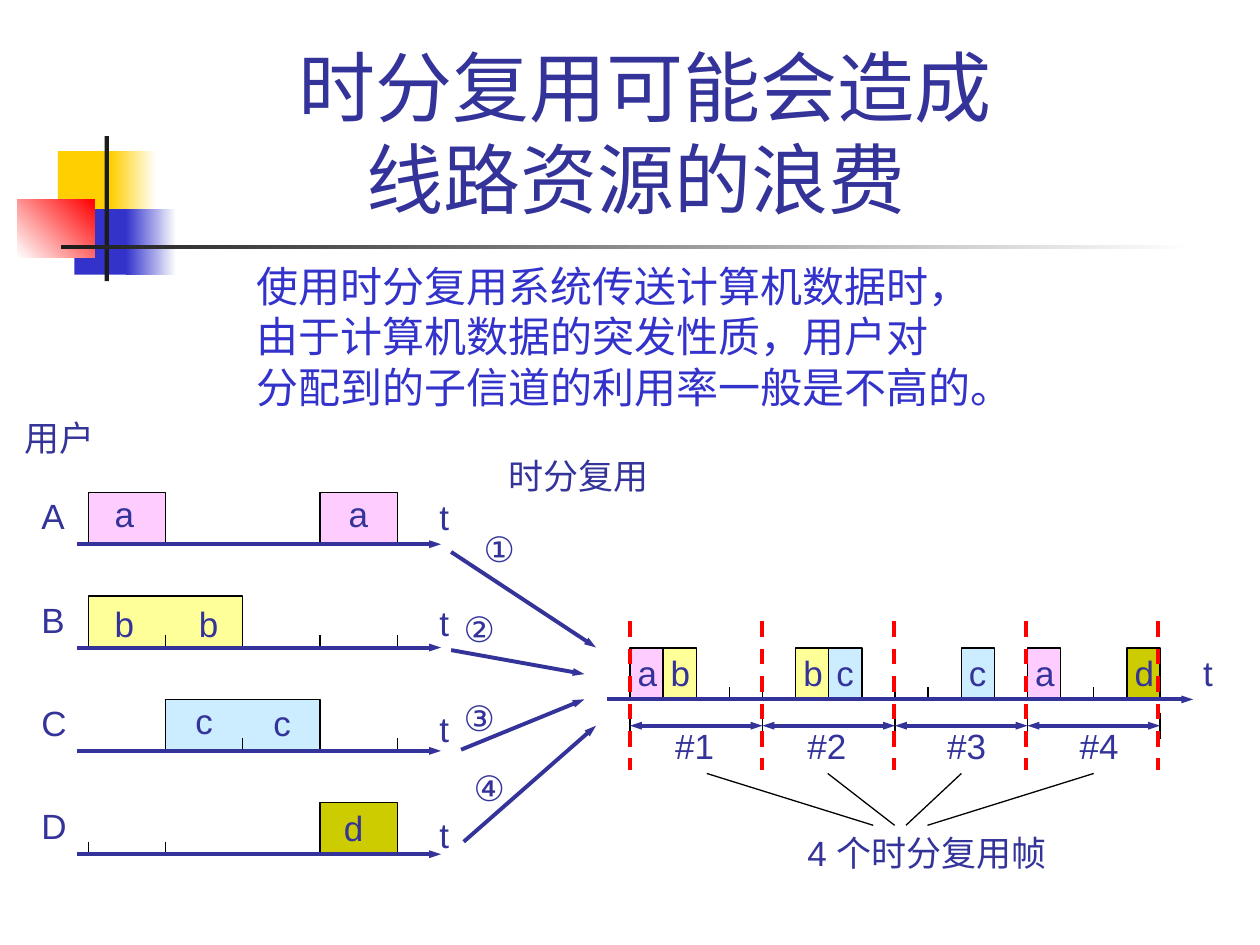
from dataclasses import dataclass
from pptx import Presentation
from pptx.dml.color import RGBColor
from pptx.enum.dml import MSO_LINE
from pptx.enum.shapes import MSO_CONNECTOR, MSO_SHAPE
from pptx.enum.text import MSO_ANCHOR, MSO_AUTO_SIZE, PP_ALIGN
from pptx.oxml.ns import qn
from pptx.util import Pt
from lxml.etree import SubElement


@dataclass(frozen=True)
class Theme:
    ink: str = "333399"
    blue: str = "3333CC"
    black: str = "000000"
    red: str = "FF0000"
    gold: str = "FFCF01"
    dark: str = "1C1C1C"
    white: str = "FFFFFF"
    font: str = "Arial"
    body_font: str = "Noto Sans CJK SC"
    title_size: int = 44
    body_size: int = 24
    label_size: int = 20
    thin: float = 0.75
    thick: float = 2.25


THEME = Theme()

# Content
TITLE = "时分复用可能会造成\v线路资源的浪费 "
BODY = ["使用时分复用系统传送计算机数据时，",
        "由于计算机数据的突发性质，用户对",
        "分配到的子信道的利用率一般是不高的。"]
SIGNAL_COLORS = {"a": "FFCCFF", "b": "FFFF99", "c": "CCECFF", "d": "CCCC00"}
# User, blocks (first slot, end slot), letters (slot, dx, dy), signal, ticks
USERS = [
    ("A", "a", [(0, 1), (3, 4)], [(0, 8, -3.5), (3, 9.3, -3.5)], []),
    ("B", "b", [(0, 2)], [(0, 8, 0), (1, 12, 0)], [1, 3, 4]),
    ("C", "c", [(1, 3)], [(1, 10, -3.5), (2, 10.5, -2)], [2, 4]),
    ("D", "d", [(3, 4)], [(3, 6.5, -1.5)], [0, 1, 3]),
]
MUX_SLOTS = {0: "a", 1: "b", 5: "b", 6: "c", 10: "c", 12: "a", 15: "d"}
MUX_TICKS = [2, 3, 4, 8, 9, 14]
FRAMES = [("#1", 378.7), ("#2", 454.3), ("#3", 534.2), ("#4", 609.8)]
# Number, its left and top, then the arrow's start and end
INPUTS = [
    ("①", 269.3, 298, (257.8, 315.4), (340.6, 370)),
    ("②", 257.8, 343.4, (257.8, 371.5), (334, 385.2)),
    ("③", 257.8, 394.5, (263.5, 428.4), (334, 399.6)),
    ("④", 263.5, 434.2, (265, 481), (340.6, 414.7)),
]
FRAME_LEADERS = [((403.9, 442), (499, 471.6)), ((473, 442), (511.2, 471.6)),
                 ((549.4, 442), (517.7, 471.6)), ((530, 471.6), (625, 442))]
# Left, top, width, height, colours, angle
DECORATION = [
    (33.1, 86.4, 34.6, 37.4, [THEME.gold], 0),
    (63.4, 86.4, 25.9, 37.4, [THEME.gold, THEME.white], 0),
    (42.5, 119.5, 33.1, 37.4, [THEME.blue], 0),
    (72, 119.5, 28.8, 37.4, [THEME.blue, THEME.white], 0),
    (10, 113.8, 44, 33.1, [THEME.white, THEME.red], 45),
    (59.8, 77.8, 2.5, 82.8, [THEME.dark], 0),
    (34.6, 140.1, 648, 2.5, [THEME.dark, THEME.white], 0),
]

# Geometry
USER_LEFT, USER_SLOT, USER_AXIS, USER_STEP = 50.4, 44.15, 311, 59.05
MUX_LEFT, MUX_SLOT, MUX_AXIS = 360, 18.93, 399.7
FRAME_WIDTH = 4 * MUX_SLOT
SPAN_Y = 414.7
DASH_STEP = 75.4
BLOCK_HEIGHT, TICK_HEIGHT, LABEL_HEIGHT = 29.5, 7.2, 31

presentation = Presentation()
presentation.slide_width, presentation.slide_height = Pt(720), Pt(540)
slide = presentation.slides.add_slide(presentation.slide_layouts[5])


def write(frame, text, size=THEME.label_size, color=THEME.ink,
          font=THEME.font, align=PP_ALIGN.LEFT, wrap=False):
    frame.word_wrap = wrap
    frame.text = text
    for paragraph in frame.paragraphs:
        paragraph.alignment = align
        paragraph.font.size = Pt(size)
        paragraph.font.name = font
        paragraph.font.color.rgb = RGBColor.from_string(color)


def add_label(text, left, top, width, height=LABEL_HEIGHT, **style):
    box = slide.shapes.add_textbox(Pt(left), Pt(top), Pt(width), Pt(height))
    write(box.text_frame, text, **style)
    box.text_frame.auto_size = MSO_AUTO_SIZE.SHAPE_TO_FIT_TEXT


def add_line(start, end, color=THEME.black, width=THEME.thin, arrows=(),
             dash=None, shapes=slide.shapes):
    line = shapes.add_connector(MSO_CONNECTOR.STRAIGHT, *map(Pt, start + end))
    line.line.color.rgb = RGBColor.from_string(color)
    line.line.width = Pt(width)
    if dash:
        line.line.dash_style = dash
    properties = line._element.spPr
    for arrow in arrows:
        SubElement(properties.find(qn("a:ln")), qn(f"a:{arrow}"),
                   type="triangle", w="sm", len="med")
    SubElement(properties, qn("a:effectLst"))


def add_arrow(start, end, arrows=("tailEnd",)):
    add_line(start, end, THEME.ink, THEME.thick, arrows)


def add_tick(x, axis):
    add_line((x, axis - TICK_HEIGHT), (x, axis))


def add_block(left, right, axis, color):
    top = axis - BLOCK_HEIGHT
    outline = slide.shapes.build_freeform(Pt(left), Pt(axis))
    corners = [(left, top), (right, top), (right, axis)]
    outline.add_line_segments([(Pt(x), Pt(y)) for x, y in corners], close=False)
    block = outline.convert_to_shape()
    block.shadow.inherit = False
    block.fill.solid()
    block.fill.fore_color.rgb = RGBColor.from_string(color)
    block.line.color.rgb = RGBColor.from_string(THEME.black)
    block.line.width = Pt(THEME.thin)


# Decoration
for left, top, width, height, colors, angle in DECORATION:
    shape = slide.shapes.add_shape(MSO_SHAPE.RECTANGLE, Pt(left), Pt(top), Pt(width), Pt(height))
    shape.shadow.inherit = False
    shape.line.fill.background()
    if len(colors) == 1:
        shape.fill.solid()
        shape.fill.fore_color.rgb = RGBColor.from_string(colors[0])
    else:
        shape.fill.gradient()
        shape.fill.gradient_angle = angle
        for position, (stop, color) in enumerate(zip(shape.fill.gradient_stops, colors)):
            stop.position = position
            stop.color.rgb = RGBColor.from_string(color)

# Title and explanation
title = slide.shapes.title
title.left, title.top, title.width, title.height = map(Pt, (54, 16.6, 629.3, 115.2))
write(title.text_frame, TITLE, size=THEME.title_size, align=PP_ALIGN.CENTER, wrap=True)
title.text_frame.vertical_anchor = MSO_ANCHOR.BOTTOM
title.text_frame.auto_size = MSO_AUTO_SIZE.NONE
add_label("\n".join(BODY), 139.7, 145.4, 458.6, 93.6, size=THEME.body_size,
          color=THEME.blue, font=THEME.body_font)

# Users on the left
add_label("用户", 7.2, 234.7, 54.7)
for row, (user, signal, blocks, letters, ticks) in enumerate(USERS):
    axis = USER_AXIS + row * USER_STEP
    for first, end in blocks:
        add_block(USER_LEFT + first * USER_SLOT, USER_LEFT + end * USER_SLOT,
                  axis, SIGNAL_COLORS[signal])
    for tick in ticks:
        add_tick(USER_LEFT + tick * USER_SLOT, axis)
    for slot, dx, dy in letters:
        add_label(signal, USER_LEFT + slot * USER_SLOT + dx, axis - BLOCK_HEIGHT + dy, 26)
    add_arrow((43.9, axis), (252, axis))
    add_label(user, 16.6, axis - 31.7, 28.4)
    add_label("t", 244, 279.4 + row * 60.7, 20.2)

# Arrows into the multiplexer
add_label("时分复用", 283.7, 256.3, 94.3)
for number, left, top, start, end in INPUTS:
    add_arrow(start, end)
    add_label(number, left, top, 34.6)

# Multiplexed line
for slot, signal in MUX_SLOTS.items():
    left = MUX_LEFT + slot * MUX_SLOT
    add_block(left, left + MUX_SLOT, MUX_AXIS, SIGNAL_COLORS[signal])
for tick in MUX_TICKS:
    add_tick(MUX_LEFT + tick * MUX_SLOT, MUX_AXIS)
add_arrow((347, MUX_AXIS), (681.8, MUX_AXIS))
for slot, signal in MUX_SLOTS.items():
    add_label(signal, MUX_LEFT + (slot + 0.5) * MUX_SLOT - 12.2, 368.6, 26)
add_label("t", 680.4, 368.6, 20.2)

# Frames
borders = [MUX_LEFT + index * FRAME_WIDTH for index in range(len(FRAMES) + 1)]
for x in borders:
    add_line((x, SPAN_Y - 7.5), (x, SPAN_Y + 7.5))
for left, right, (name, label_left) in zip(borders, borders[1:], FRAMES):
    add_arrow((left, SPAN_Y), (right, SPAN_Y), ("headEnd", "tailEnd"))
    add_label(name, label_left, 410.4, 36.7)
for start, end in FRAME_LEADERS:
    add_line(start, end)
add_label("4 个时分复用帧", 454.3, 471.6, 151.2, wrap=True)

# Dashed frame borders
border_group = slide.shapes.add_group_shape()
for index in range(len(borders)):
    x = MUX_LEFT + index * DASH_STEP
    add_line((x, 355), (x, 440), THEME.red, THEME.thick,
             dash=MSO_LINE.DASH, shapes=border_group.shapes)

presentation.save("out.pptx")
